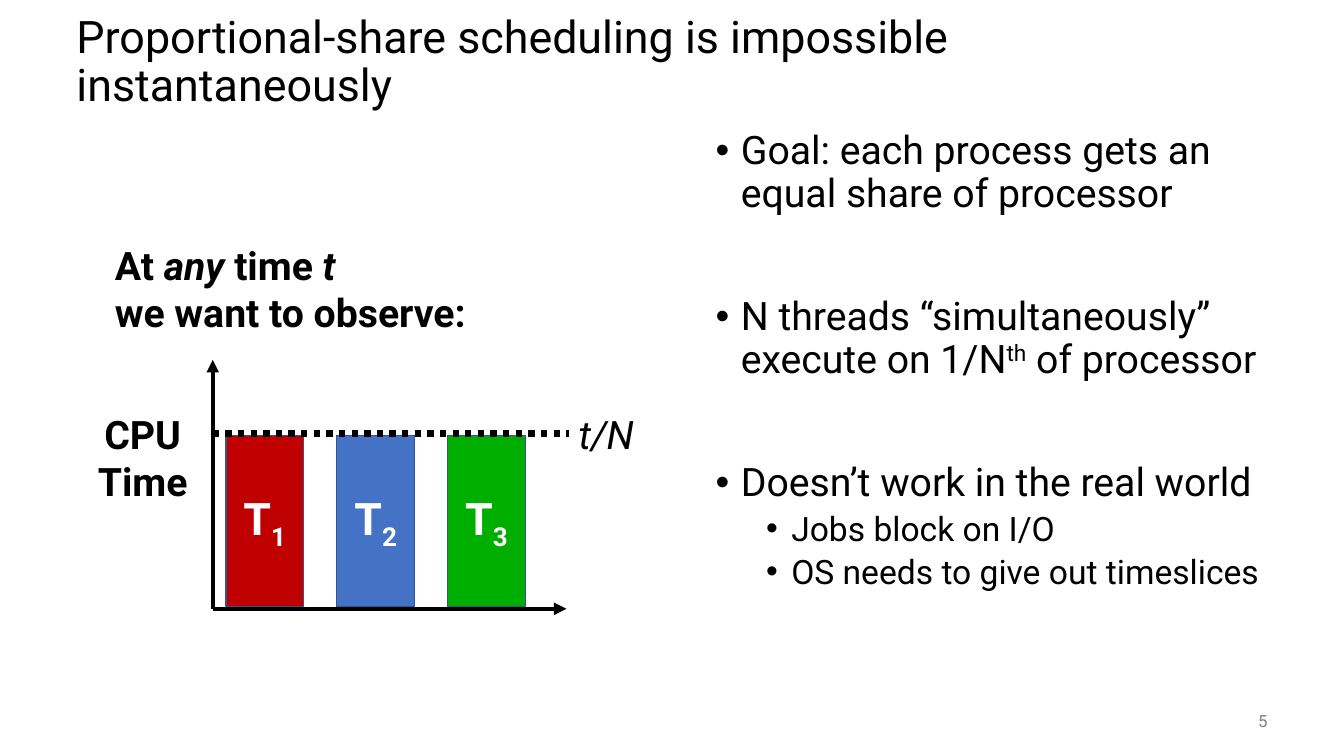
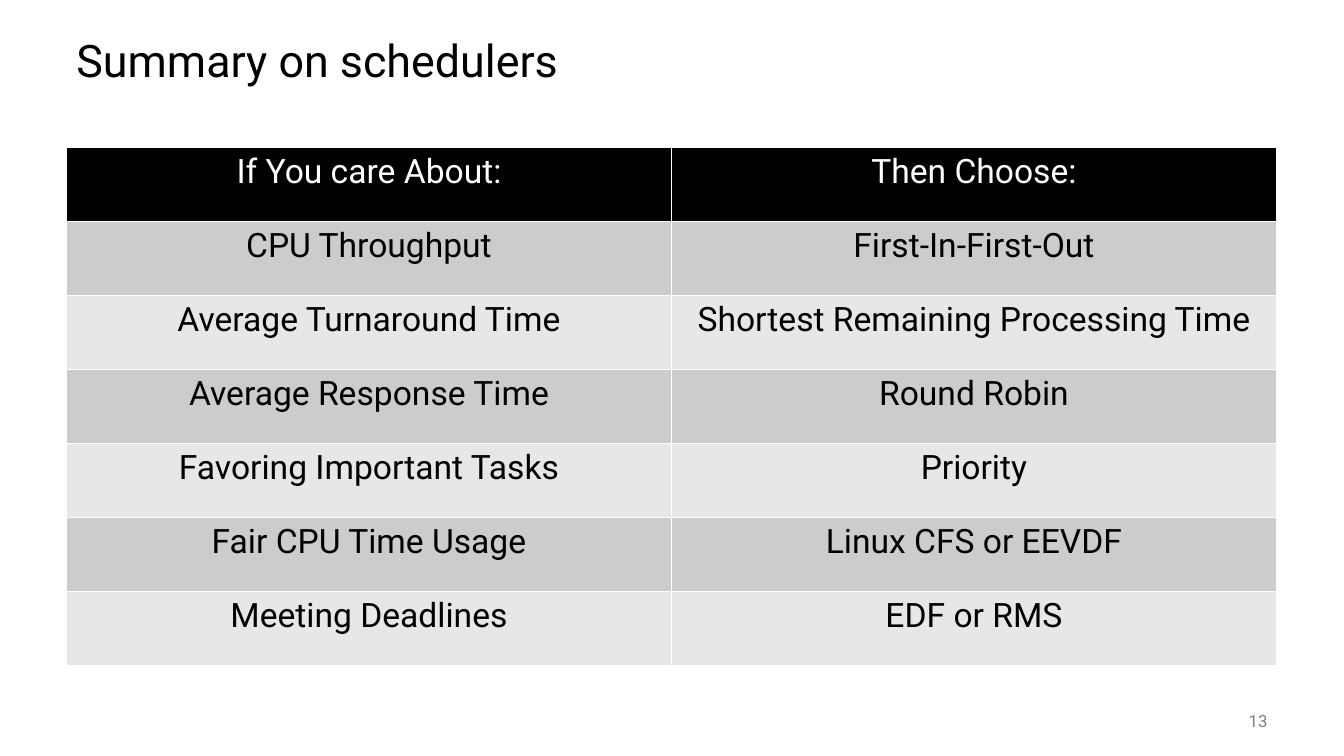
from lxml.etree import SubElement
from pptx import Presentation
from pptx.dml.color import RGBColor
from pptx.enum.dml import MSO_LINE
from pptx.enum.shapes import MSO_CONNECTOR, MSO_SHAPE
from pptx.enum.text import MSO_ANCHOR, PP_ALIGN
from pptx.oxml.ns import qn
from pptx.util import Inches, Pt

FONT = "Roboto"
BLACK = RGBColor(0, 0, 0)
WHITE = RGBColor(255, 255, 255)
GRAY = RGBColor(0x80, 0x80, 0x80)
DARK = RGBColor(0xCC, 0xCC, 0xCC)
PALE = RGBColor(0xE7, 0xE7, 0xE7)
EDGE = RGBColor(0x32, 0x54, 0x91)
RED = RGBColor(0xC0, 0, 0)
BLUE = RGBColor(0x44, 0x72, 0xC4)
GREEN = RGBColor(0, 0xAE, 0)

WIDE, HIGH = 13.33, 7.5
LEFT, SPAN = 0.66, 12
SHIFT = {"super": 30000, "sub": -25000}

GOALS = [
    (0, 0, ["Goal: each process gets an equal share of processor"]),
    (0, 58, ["N threads “simultaneously” execute on 1/N", ("th", "super"),
             " of processor"]),
    (0, 58, ["Doesn’t work in the real world"]),
    (1, 5, ["Jobs block on I/O"]),
    (1, 5, ["OS needs to give out timeslices"]),
]
LEVELS = [(0.25, 28), (0.75, 24)]
CLAIM = ["At ", ("any", "italic"), " time ", ("t", "italic"), "\n",
         "we want to observe:"]
BARS = [("1", RED), ("2", BLUE), ("3", GREEN)]
ROWS = [
    ("If You care About:", "Then Choose:"),
    ("CPU Throughput", "First-In-First-Out"),
    ("Average Turnaround Time", "Shortest Remaining Processing Time"),
    ("Average Response Time", "Round Robin"),
    ("Favoring Important Tasks", "Priority"),
    ("Fair CPU Time Usage", "Linux CFS or EEVDF"),
    ("Meeting Deadlines", "EDF or RMS"),
]


def write(para, parts, size, color=BLACK, bold=False, italic=False,
          align=PP_ALIGN.LEFT):
    para.alignment = align
    font = para.font
    font.name, font.size, font.bold, font.italic = FONT, Pt(size), bold, italic
    font.color.rgb = color
    for part in parts:
        if part == "\n":
            para.add_line_break()
            continue
        text, mark = part if isinstance(part, tuple) else (part, None)
        run = para.add_run()
        run.text = text
        if mark == "italic":
            run.font.italic = True
        elif mark:
            run.font._element.set("baseline", str(SHIFT[mark]))


def frame(slide, box, wrap=True, anchor=MSO_ANCHOR.TOP):
    body = slide.shapes.add_textbox(*map(Inches, box)).text_frame
    body.word_wrap, body.vertical_anchor = wrap, anchor
    return body


def label(slide, box, parts, size, wrap=True, **style):
    write(frame(slide, box, wrap).paragraphs[0], parts, size, **style)


def start(deck, title, number):
    slide = deck.slides.add_slide(deck.slide_layouts[6])
    head = frame(slide, (LEFT, 0.25, SPAN, 0.75), anchor=MSO_ANCHOR.MIDDLE)
    head.paragraphs[0].line_spacing = 0.9
    write(head.paragraphs[0], [title], 32)
    foot = frame(slide, (11.67, 6.95, 1, 0.4), anchor=MSO_ANCHOR.MIDDLE)
    write(foot.paragraphs[0], [number], 12, GRAY, align=PP_ALIGN.RIGHT)
    return slide


def bullets(slide, box, items):
    body = frame(slide, box)
    for i, (level, gap, parts) in enumerate(items):
        para = body.add_paragraph() if i else body.paragraphs[0]
        indent, size = LEVELS[level]
        props = para._p.get_or_add_pPr()
        props.set("marL", str(Inches(indent)))
        props.set("indent", str(-Inches(0.25)))
        SubElement(props, qn("a:buFont")).set("typeface", "Arial")
        SubElement(props, qn("a:buChar")).set("char", "•")
        para.level, para.line_spacing = level, 0.9
        para.space_before = Pt(gap)
        write(para, parts, size)


def rule(slide, ends, width, dash=None):
    line = slide.shapes.add_connector(MSO_CONNECTOR.STRAIGHT,
                                      *map(Inches, ends))
    line.line.color.rgb, line.line.width = BLACK, Pt(width)
    if dash:
        line.line.dash_style = dash
    else:
        SubElement(line.line._get_or_add_ln(),
                   qn("a:tailEnd")).set("type", "triangle")
    SubElement(line._element.spPr, qn("a:effectLst"))


def chart(slide, x, base):
    rule(slide, (x, base, 5.62, base), 3)
    rule(slide, (x, base, x, 3.57), 3)
    label(slide, (0.83, 4.02, 1.17, 1.04), ["CPU", "\n", "Time"], 28, False,
          bold=True, align=PP_ALIGN.CENTER)
    for i, (name, color) in enumerate(BARS):
        bar = slide.shapes.add_shape(
            MSO_SHAPE.RECTANGLE,
            *map(Inches, (x + 0.13 + 1.1 * i, 4.32, 0.77, 1.7)))
        bar.shadow.inherit = False
        bar.fill.solid()
        bar.fill.fore_color.rgb = color
        bar.line.color.rgb, bar.line.width = EDGE, Pt(1)
        bar.text_frame.vertical_anchor = MSO_ANCHOR.MIDDLE
        write(bar.text_frame.paragraphs[0], ["T", (name, "sub")], 32, WHITE,
              bold=True, align=PP_ALIGN.CENTER)
    label(slide, (5.64, 4.02, 0.75, 0.57), ["t/N"], 28, False, italic=True)
    rule(slide, (x, 4.3, 5.64, 4.3), 4.5, MSO_LINE.ROUND_DOT)


def grid(slide, rows, top, height):
    table = slide.shapes.add_table(
        len(rows), len(rows[0]),
        *map(Inches, (LEFT, top, SPAN, height))).table
    for r, row in enumerate(rows):
        for c, text in enumerate(row):
            cell = table.cell(r, c)
            cell.fill.solid()
            cell.fill.fore_color.rgb = (DARK if r % 2 else PALE) if r else BLACK
            write(cell.text_frame.paragraphs[0], [text], 24,
                  BLACK if r else WHITE, align=PP_ALIGN.CENTER)


def main():
    deck = Presentation()
    deck.slide_width, deck.slide_height = Inches(WIDE), Inches(HIGH)
    share = start(
        deck, "Proportional-share scheduling is impossible instantaneously", "5")
    bullets(share, (7, 1.25, 5.66, 5.5), GOALS)
    label(share, (1.04, 2.34, 4.29, 1.04), CLAIM, 28, bold=True)
    chart(share, 2.11, 6.04)
    grid(start(deck, "Summary on schedulers", "13"), ROWS, 1.46, 5.14)
    deck.save("out.pptx")


if __name__ == "__main__":
    main()
